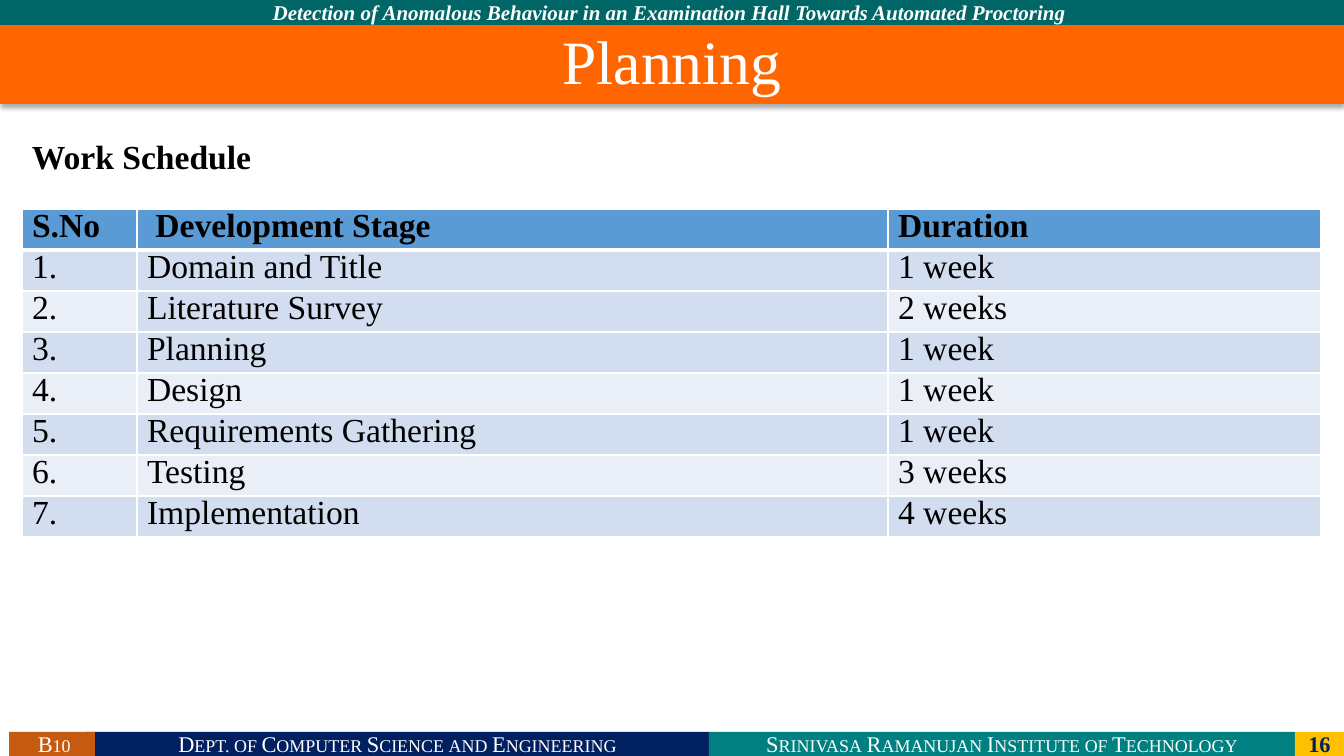
from lxml import etree
from pptx import Presentation
from pptx.dml.color import RGBColor
from pptx.enum.shapes import MSO_SHAPE
from pptx.enum.text import MSO_ANCHOR, MSO_AUTO_SIZE, PP_ALIGN
from pptx.oxml.ns import qn
from pptx.util import Emu, Pt

RECTANGLE = MSO_SHAPE.RECTANGLE
MIDDLE = MSO_ANCHOR.MIDDLE
NO_AUTOFIT, GROW = MSO_AUTO_SIZE.NONE, MSO_AUTO_SIZE.SHAPE_TO_FIT_TEXT
CENTER, JUSTIFY = PP_ALIGN.CENTER, PP_ALIGN.JUSTIFY
TITLE_ONLY = 5
EMU_PER_PX = 914400 / 100.8
WIDTH, HEIGHT = 1344, 756

WHITE, BLACK, NAVY = "FFFFFF", "000000", "002060"
HEADER_BLUE, BAND_DARK, BAND_LIGHT = "5B9BD5", "D2DEEF", "EAEFF7"

BODY_PARA = {"alignment": JUSTIFY, "line_spacing": 0.8, "space_before": Pt(10)}
BODY_FONT = {"size": Pt(24), "bold": False}
HEADING_FONT = {"size": Pt(24), "bold": True}
FOOTER_FONT = {"size": Pt(16)}
BANNER_FONT = {"size": Pt(15), "bold": True, "italic": True}

HEADINGS = ("S.No", " Development Stage", "Duration")
STAGES = (
    ("Domain and Title", "1 week"),
    ("Literature Survey", "2 weeks"),
    ("Planning", "1 week"),
    ("Design", "1 week"),
    ("Requirements Gathering", "1 week"),
    ("Testing", "3 weeks"),
    ("Implementation", "4 weeks"),
)
# Left, width, fill, text, text colour, small capitals
FOOTER = (
    (86, 623, NAVY, "Dept. of Computer Science and Engineering", WHITE, True),
    (709, 586, "008080", "Srinivasa Ramanujan Institute of Technology", WHITE, True),
    (1295, 49, "FFC000", "16", NAVY, False),
    (9, 86, "C55A11", " B10", WHITE, True),
)


def px(length):
    return Emu(round(length * EMU_PER_PX))


def rgb(color):
    return RGBColor.from_string(color)


def apply(target, values):
    for name, value in values.items():
        setattr(target, name, value)


class SlideBuilder:
    def __init__(self, slide, font):
        self.slide = slide
        self.font = font

    def add_span(self, frame, text, color, font_values, para_values):
        para = frame.paragraphs[0]
        apply(para, para_values)
        span = para.add_run()
        span.text = text
        apply(span.font, {"name": self.font, **font_values})
        span.font.color.rgb = rgb(color)
        return span

    def paint(self, shape, color):
        shape.fill.solid()
        shape.fill.fore_color.rgb = rgb(color)
        shape.line.fill.background()
        shape.shadow.inherit = False

    def title(self, text, area, fill):
        box = self.slide.shapes.title
        apply(box, dict(zip(("left", "top", "width", "height"), map(px, area))))
        self.paint(box, fill)
        effects = box._element.spPr.find(qn("a:effectLst"))
        shadow = etree.SubElement(
            effects, qn("a:outerShdw"), blurRad=str(Pt(3.5)), dist=str(Pt(2.2)),
            dir="5400000", algn="t", rotWithShape="0")
        tint = etree.SubElement(shadow, qn("a:srgbClr"), val=BLACK)
        etree.SubElement(tint, qn("a:alpha"), val="32000")
        apply(box.text_frame, {"word_wrap": True, "auto_size": NO_AUTOFIT,
                               "vertical_anchor": MIDDLE})
        self.add_span(box.text_frame, text, WHITE, {"size": Pt(44)},
                      {"alignment": CENTER, "line_spacing": 0.9})

    def bar(self, text, area, fill, color, font_values, small_caps=False):
        box = self.slide.shapes.add_shape(RECTANGLE, *map(px, area))
        self.paint(box, fill)
        apply(box.text_frame, {"word_wrap": True, "vertical_anchor": MIDDLE})
        span = self.add_span(box.text_frame, text, color, font_values,
                             {"alignment": CENTER})
        if small_caps:
            span.font._element.set("cap", "small")

    def text(self, text, area):
        box = self.slide.shapes.add_textbox(*map(px, area))
        apply(box.text_frame, {"word_wrap": True, "auto_size": GROW})
        self.add_span(box.text_frame, text, BLACK, HEADING_FONT, BODY_PARA)

    def borders(self, cell, widths):
        properties = cell._tc.get_or_add_tcPr()
        for side, width in widths.items():
            line = etree.SubElement(properties, qn(f"a:ln{side}"), w=str(Pt(width)))
            fill = etree.SubElement(line, qn("a:solidFill"))
            etree.SubElement(fill, qn("a:srgbClr"), val=WHITE)

    def table(self, rows, left, top, column_widths, row_height, fill_of):
        area = (left, top, sum(column_widths), row_height * len(rows))
        table = self.slide.shapes.add_table(
            len(rows), len(column_widths), *map(px, area)).table
        for column, width in zip(table.columns, column_widths):
            column.width = px(width)
        for r, row in enumerate(rows):
            table.rows[r].height = px(row_height)
            for c, text in enumerate(row):
                cell = table.cell(r, c)
                self.borders(cell, {"L": 1, "R": 1, "T": 3 if r == 1 else 1,
                                    "B": 3 if r == 0 else 1})
                cell.fill.solid()
                cell.fill.fore_color.rgb = rgb(fill_of(r, c))
                font_values = HEADING_FONT if r == 0 else BODY_FONT
                self.add_span(cell.text_frame, text, BLACK, font_values, BODY_PARA)


def schedule_fill(row, column):
    if row == 0:
        return HEADER_BLUE
    # The literature survey stage keeps the darker band
    return BAND_DARK if row % 2 or (row, column) == (2, 1) else BAND_LIGHT


def main():
    deck = Presentation()
    deck.slide_width, deck.slide_height = px(WIDTH), px(HEIGHT)
    page = SlideBuilder(deck.slides.add_slide(deck.slide_layouts[TITLE_ONLY]),
                        "Times New Roman")

    # Footer and top banner
    for left, width, fill, text, color, small_caps in FOOTER:
        weight = {"bold": not small_caps}
        page.bar(text, (left, 732, width, 24), fill, color,
                 {**FOOTER_FONT, **weight}, small_caps)
    page.bar("Detection of Anomalous Behaviour in an Examination Hall "
             "Towards Automated Proctoring ",
             (0, 0, WIDTH, 25), "006666", WHITE, BANNER_FONT)

    # Title band
    page.title("Planning", (0, 25, WIDTH, 79), "FF6600")

    # Work schedule
    rows = [HEADINGS]
    rows += [(f"{n}.", *stage) for n, stage in enumerate(STAGES, 1)]
    page.table(rows, 22, 209, (115, 751, 433), 41, schedule_fill)
    page.text("Work Schedule", (22, 139, 681, 42))

    deck.save("out.pptx")


if __name__ == "__main__":
    main()
